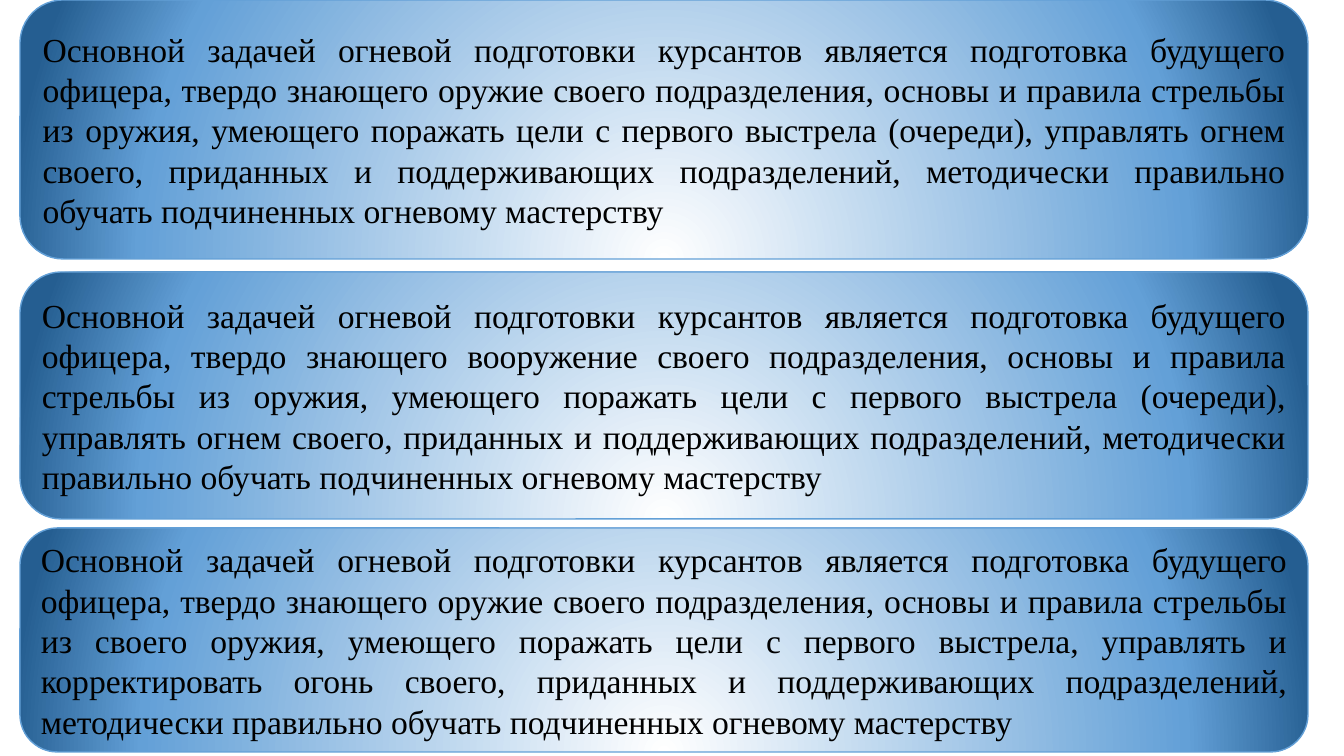
from lxml import etree
from pptx import Presentation
from pptx import util as u
from pptx.dml.color import RGBColor
from pptx.enum import shapes, text
from pptx.oxml import parse_xml
from pptx.oxml.ns import nsdecls, qn

PX = 9144000 / 1008  # EMU in one pixel at 100.8 pixels to the inch
COLOURS = {"text": "000000", "line": "63A0D7",
           "centre": "FFFFFF", "middle": "63A0D7", "edge": "255E91"}
STOPS = [(0, "centre"), (80, "middle"), (100, "edge")]
LEFT, WIDTH = 20, 1288

# Each panel: top, height, wording
PANELS = [
    (0, 259,
     "Основной задачей огневой подготовки курсантов является подготовка "
     "будущего офицера, твердо знающего оружие своего подразделения, основы "
     "и правила стрельбы из оружия, умеющего поражать цели с первого "
     "выстрела (очереди), управлять огнем своего, приданных и поддерживающих "
     "подразделений, методически правильно обучать подчиненных огневому "
     "мастерству"),
    (272, 247,
     "Основной задачей огневой подготовки курсантов является подготовка "
     "будущего офицера, твердо знающего вооружение своего подразделения, "
     "основы и правила стрельбы из оружия, умеющего поражать цели с первого "
     "выстрела (очереди), управлять огнем своего, приданных и поддерживающих "
     "подразделений, методически правильно обучать подчиненных огневому "
     "мастерству"),
    (528, 224,
     "Основной задачей огневой подготовки курсантов является подготовка "
     "будущего офицера, твердо знающего оружие своего подразделения, основы "
     "и правила стрельбы из своего оружия, умеющего поражать цели с первого "
     "выстрела, управлять и корректировать огонь своего, приданных и "
     "поддерживающих подразделений, методически правильно обучать "
     "подчиненных огневому мастерству"),
]


def px(n):
    """Turn pixels into EMU."""
    return u.Emu(round(n * PX))


def rgb(name):
    """Look up a named colour."""
    return RGBColor.from_string(COLOURS[name])


def radial_fill(sp):
    """Fill a shape with a circular gradient centred below its lower edge."""
    sp.fill.gradient()
    grad = sp._element.spPr.find(qn("a:gradFill"))
    for child in list(grad):
        grad.remove(child)
    stops = parse_xml(f"<a:gsLst {nsdecls('a')}/>")
    for pos, name in STOPS:
        gs = etree.SubElement(stops, qn("a:gs"), pos=str(pos * 1000))
        etree.SubElement(gs, qn("a:srgbClr"), val=COLOURS[name])
    grad.append(stops)
    path = etree.SubElement(grad, qn("a:path"), path="circle")
    etree.SubElement(path, qn("a:fillToRect"),
                     l="50000", t="130000", r="50000", b="-30000")


def put_text(sp, words, size=24, font="Times New Roman", colour="text",
             align=text.PP_ALIGN.JUSTIFY, anchor=text.MSO_ANCHOR.MIDDLE):
    """Write one formatted paragraph into a shape."""
    tf = sp.text_frame
    tf.word_wrap = True
    tf.vertical_anchor = anchor
    p = tf.paragraphs[0]
    p.alignment = align
    r = p.add_run()
    r.text = words
    r.font.size = u.Pt(size)
    r.font.name = font
    r.font.color.rgb = rgb(colour)


def add_panel(s, top, height, words):
    """Add a rounded gradient panel with its wording."""
    sp = s.shapes.add_shape(shapes.MSO_SHAPE.ROUNDED_RECTANGLE,
                            px(LEFT), px(top), px(WIDTH), px(height))
    sp.shadow.inherit = False
    radial_fill(sp)
    sp.line.color.rgb = rgb("line")
    sp.line.width = u.Pt(1)
    put_text(sp, words)


def main():
    """Build the slide and save it."""
    prs = Presentation()
    prs.slide_width, prs.slide_height = px(1344), px(756)
    s = prs.slides.add_slide(prs.slide_layouts[6])
    for top, height, words in PANELS:
        add_panel(s, top, height, words)
    prs.save("out.pptx")


main()
